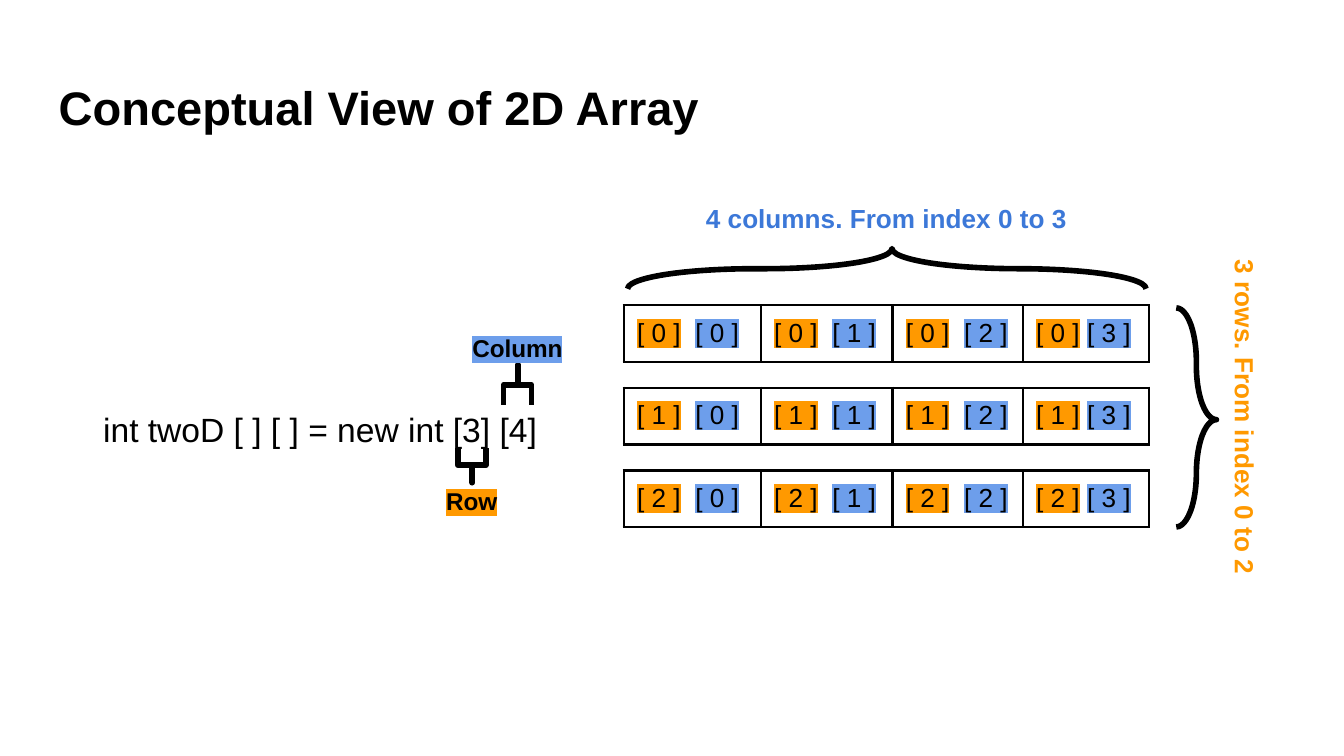
from dataclasses import dataclass

import pptx
import pptx.dml.color
import pptx.enum.shapes
import pptx.enum.text
import pptx.oxml
import pptx.oxml.ns
import pptx.util
from pptx.dml.color import RGBColor
from pptx.enum.text import MSO_ANCHOR, PP_ALIGN
from pptx.util import Cm, Pt

BLACK = RGBColor(0x00, 0x00, 0x00)
ORANGE = RGBColor(0xFF, 0x99, 0x00)
LIGHT_BLUE = RGBColor(0x6D, 0x9E, 0xEB)
BLUE = RGBColor(0x3C, 0x78, 0xD8)

FONT = "Arial"
INSET = Cm(0.25)
NAMESPACE = pptx.oxml.ns.nsdecls("a")

ROW_COUNT = 3
COLUMN_WIDTHS = (2.59, 2.49, 2.46, 2.39)
TABLE_LEFT, TABLE_TOP = 11.79, 5.77
TABLE_PITCH, ROW_HEIGHT = 1.56, 1.07


@dataclass(frozen=True)
class Box:
    left: float
    top: float
    width: float
    height: float

    def lengths(self) -> tuple:
        return Cm(self.left), Cm(self.top), Cm(self.width), Cm(self.height)


@dataclass(frozen=True)
class Label:
    text: str
    box: Box
    size: float
    bold: bool = True
    color: RGBColor = BLACK
    highlight: RGBColor | None = None
    align: PP_ALIGN = PP_ALIGN.CENTER
    anchor: MSO_ANCHOR = MSO_ANCHOR.TOP
    rotation: int = 0
    line_spacing: float = 1.0
    space_after: float = 0


@dataclass(frozen=True)
class Brace:
    box: Box
    rotation: int
    curve: float
    flipped: bool = False


LABELS = (
    Label("Conceptual View of 2D Array", Box(0.86, 1.24, 23.67, 1.6), 25.2,
          align=PP_ALIGN.LEFT),
    Label("int twoD [ ] [ ] = new int [3] [4]", Box(1.7, 7.37, 9.07, 1.27), 18,
          bold=False, align=PP_ALIGN.LEFT, line_spacing=1.15, space_after=12),
    Label("Row", Box(8.18, 9.14, 1.47, 0.66), 13, highlight=ORANGE,
          anchor=MSO_ANCHOR.MIDDLE),
    Label("Column", Box(8.56, 6.25, 2.44, 0.66), 13, highlight=LIGHT_BLUE,
          anchor=MSO_ANCHOR.MIDDLE),
    Label("4 columns. From index 0 to 3", Box(12.22, 3.58, 9.07, 1.12), 14,
          color=BLUE),
    Label("3 rows. From index 0 to 2", Box(20.22, 7.32, 6.6, 1.12), 14,
          color=ORANGE, rotation=90),
)

BRACES = (
    Brace(Box(8.59, 8.53, 0.66, 0.53), 90, 0, flipped=True),
    Brace(Box(9.4, 7.01, 0.76, 0.53), 90, 0),
    Brace(Box(16.38, 0.18, 0.76, 9.8), 90, 3.17),
    Brace(Box(22.23, 5.82, 0.76, 4.14), 180, 3.17),
)


def set_font(paragraph, size: float, color: RGBColor, bold: bool) -> None:
    font = paragraph.font
    font.name, font.size, font.bold = FONT, Pt(size), bold
    font.color.rgb = color


def add_run(paragraph, text: str, highlight: RGBColor | None = None):
    run = paragraph.add_run()
    run.text = text
    if highlight is not None:
        run._r.get_or_add_rPr().append(pptx.oxml.parse_xml(
            f'<a:highlight {NAMESPACE}><a:srgbClr val="{highlight}"/></a:highlight>'))
    return run


def add_label(slide, label: Label) -> None:
    shape = slide.shapes.add_textbox(*label.box.lengths())
    shape.rotation = label.rotation
    frame = shape.text_frame
    frame.word_wrap = True
    frame.vertical_anchor = label.anchor
    frame.margin_left = frame.margin_right = INSET
    frame.margin_top = frame.margin_bottom = INSET
    paragraph = frame.paragraphs[0]
    paragraph.alignment = label.align
    paragraph.line_spacing = label.line_spacing
    paragraph.space_after = Pt(label.space_after)
    set_font(paragraph, label.size, label.color, label.bold)
    add_run(paragraph, label.text, label.highlight)


def add_brace(slide, brace: Brace) -> None:
    shape = slide.shapes.add_shape(
        pptx.enum.shapes.MSO_SHAPE.LEFT_BRACE, *brace.box.lengths())
    shape.rotation = brace.rotation
    shape.adjustments[0] = brace.curve
    shape.adjustments[1] = 0.49
    shape.shadow.inherit = False
    shape.fill.background()
    shape.line.color.rgb = BLACK
    shape.line.width = Pt(3)
    if brace.flipped:
        shape._element.spPr.xfrm.set("flipH", "1")


def outline_cell(cell) -> None:
    """Draw a black line on all four sides of the cell."""
    properties = cell._tc.get_or_add_tcPr()
    for position, side in enumerate(("lnL", "lnR", "lnT", "lnB")):
        properties.insert(position, pptx.oxml.parse_xml(
            f'<a:{side} {NAMESPACE} w="{Pt(1.5)}"><a:solidFill>'
            f'<a:srgbClr val="{BLACK}"/></a:solidFill></a:{side}>'))


def add_array_row(slide, row: int) -> None:
    box = Box(TABLE_LEFT, TABLE_TOP + row * TABLE_PITCH,
              sum(COLUMN_WIDTHS), ROW_HEIGHT)
    table = slide.shapes.add_table(
        1, len(COLUMN_WIDTHS), *box.lengths()).table
    table.first_row = table.horz_banding = False
    for column, width in enumerate(COLUMN_WIDTHS):
        table.columns[column].width = Cm(width)
        cell = table.cell(0, column)
        cell.margin_left = cell.margin_right = INSET
        cell.margin_top = cell.margin_bottom = INSET
        cell.fill.background()
        outline_cell(cell)
        paragraph = cell.text_frame.paragraphs[0]
        set_font(paragraph, 14, BLACK, False)
        add_run(paragraph, f"[ {row} ]", ORANGE)
        gap = add_run(paragraph, " ")
        if column < len(COLUMN_WIDTHS) - 1:
            gap._r.get_or_add_rPr().set("spc", "390")
        add_run(paragraph, f"[ {column} ]", LIGHT_BLUE)


def main() -> None:
    presentation = pptx.Presentation()
    presentation.slide_width, presentation.slide_height = Cm(25.4), Cm(14.29)
    slide = presentation.slides.add_slide(presentation.slide_layouts[6])
    for row in range(ROW_COUNT):
        add_array_row(slide, row)
    for brace in BRACES:
        add_brace(slide, brace)
    for label in LABELS:
        add_label(slide, label)
    presentation.save("out.pptx")


if __name__ == "__main__":
    main()
